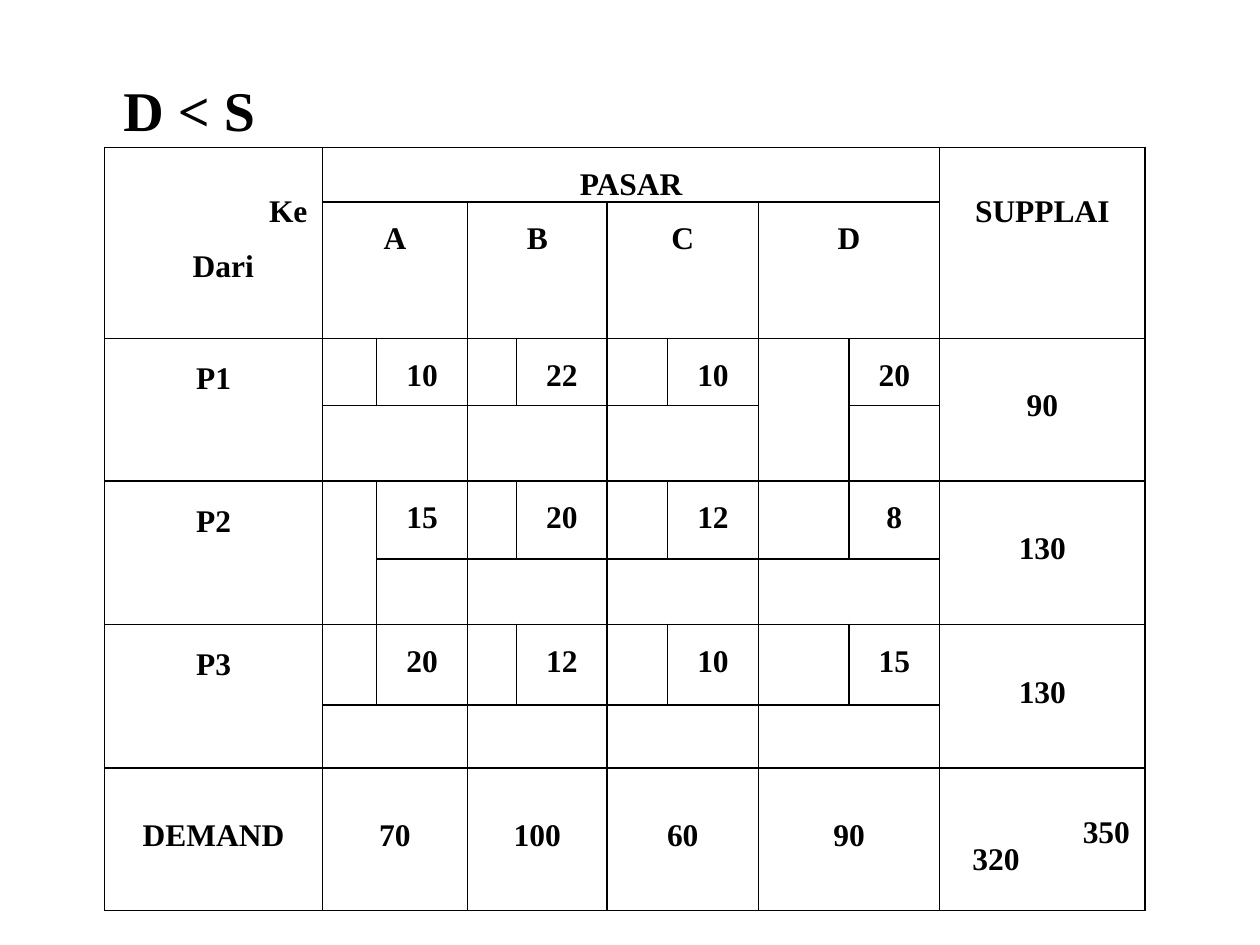
from lxml.etree import SubElement
from pptx import Presentation
from pptx.dml.color import RGBColor
from pptx.enum.text import MSO_ANCHOR, PP_ALIGN
from pptx.oxml.ns import qn
from pptx.util import Inches, Pt

FONT = "Times New Roman"
BLACK = "000000"
LINE = Pt(15.6)
NO_STYLE = "{2D5ABB26-0587-4C30-8999-92F81FD0307C}"
COLS = [1.73, 0.43, 0.72, 0.39, 0.72, 0.48, 0.72, 0.72, 0.72, 1.63]
ROWS = [0.43, 0.76, 0.53, 0.6, 0.62, 0.52, 0.64, 0.5, 1.13]
MARKETS = "ABCD"
PLANTS = [
    ("P1", [10, 22, 10, 20], 90),
    ("P2", [15, 20, 12, 8], 130),
    ("P3", [20, 12, 10, 15], 130),
]
DEMAND = [70, 100, 60, 90]
BOXED_COSTS = {("P1", "D"), ("P2", "A")}


def rgb(value):
    return RGBColor.from_string(value)


def style(p, size):
    for r in p.runs:
        r.font.name = FONT
        r.font.size = Pt(size)
        r.font.bold = True
        r.font.color.rgb = rgb(BLACK)


def add_border(cell, side):
    ln = SubElement(cell._tc.get_or_add_tcPr(), qn(f"a:ln{side}"), w=str(Pt(1)))
    fill = SubElement(ln, qn("a:solidFill"))
    SubElement(fill, qn("a:srgbClr"), val=BLACK)


def add_block(table, row, col, height=1, width=1, text="", sides="LRTB",
              skip=0, middle=False):
    """Fill a merged block, its text starting `skip` lines down."""
    bottom, right = row + height - 1, col + width - 1
    for y in range(row, bottom + 1):
        for x in range(col, right + 1):
            cell = table.cell(y, x)
            outer = {"L": x == col, "R": x == right, "T": y == row, "B": y == bottom}
            for side in "LRTB":
                if side in sides and outer[side]:
                    add_border(cell, side)
            cell.fill.background()
    cell = table.cell(row, col)
    if height * width > 1:
        cell.merge(table.cell(bottom, right))
    cell.margin_left = cell.margin_right = Inches(0.07)
    cell.margin_top, cell.margin_bottom = LINE * skip, 0
    if middle:
        cell.vertical_anchor = MSO_ANCHOR.MIDDLE
    cell.text_frame.text = str(text)
    for p in cell.text_frame.paragraphs:
        p.alignment = PP_ALIGN.CENTER
        p.line_spacing = LINE
        style(p, 18)
    return cell


def stagger(cell, indent):
    """Set the first line to the right and the second to the left."""
    cell.margin_right = Inches(0.12)
    first, second = cell.text_frame.paragraphs
    first.alignment = PP_ALIGN.RIGHT
    second.alignment = PP_ALIGN.LEFT
    second._p.get_or_add_pPr().set("marL", str(Inches(indent)))
    return second


def add_header(table):
    corner = add_block(table, 0, 0, 2, 1, "Ke\nDari", skip=2)
    stagger(corner, 0.63).space_before = LINE
    add_block(table, 0, 1, 1, 8, "PASAR", skip=1)
    add_block(table, 0, 9, 2, 1, "SUPPLAI", skip=2)
    for i, market in enumerate(MARKETS):
        add_block(table, 1, 1 + 2 * i, 1, 2, market, skip=1)


def add_plant(table, row, plant, costs, supply):
    name = add_block(table, row, 0, 2, 1, plant, middle=True)
    name.margin_bottom = LINE * 2
    for i, (market, cost) in enumerate(zip(MARKETS, costs)):
        col = 1 + 2 * i
        if (plant, market) in BOXED_COSTS:
            add_block(table, row, col, 2, 1, sides="LTB")
            add_block(table, row, col + 1, text=cost, skip=1)
            add_block(table, row + 1, col + 1, sides="TRB")
        else:
            add_block(table, row, col, sides="LTR")
            add_block(table, row, col + 1, text=cost, sides="LTR", skip=1)
            add_block(table, row + 1, col, 1, 2, sides="LRB")
    add_block(table, row, 9, 2, 1, supply, middle=True)


def add_demand(table, row):
    add_block(table, row, 0, text="DEMAND", middle=True)
    for i, demand in enumerate(DEMAND):
        add_block(table, row, 1 + 2 * i, 1, 2, demand, middle=True)
    stagger(add_block(table, row, 9, text="350\n320", skip=2), 0.19)


def add_transport_table(s, left, top):
    frame = s.shapes.add_table(len(ROWS), len(COLS), Inches(left), Inches(top),
                               Inches(sum(COLS)), Inches(sum(ROWS)))
    table = frame.table
    table.first_row = table.horz_banding = False
    table._tbl.tblPr.find(qn("a:tableStyleId")).text = NO_STYLE
    for column, width in zip(table.columns, COLS):
        column.width = Inches(width)
    for table_row, height in zip(table.rows, ROWS):
        table_row.height = Inches(height)
    add_header(table)
    for i, plant in enumerate(PLANTS):
        add_plant(table, 2 + 2 * i, *plant)
    add_demand(table, len(ROWS) - 1)


def add_title(s, left, top, width, height):
    tf = s.shapes.add_textbox(Inches(left), Inches(top),
                              Inches(width), Inches(height)).text_frame
    tf.word_wrap = True
    tf.margin_left, tf.margin_top = Inches(0.4), Inches(0.1)
    tf.text = "D < S"
    style(tf.paragraphs[0], 32)


def main():
    prs = Presentation()
    prs.slide_width, prs.slide_height = Inches(10), Inches(7.5)
    s = prs.slides.add_slide(prs.slide_layouts[6])
    add_title(s, 0.58, 0.5, 8.92, 6.67)
    add_transport_table(s, 0.83, 1.17)
    prs.save("out.pptx")


if __name__ == "__main__":
    main()
